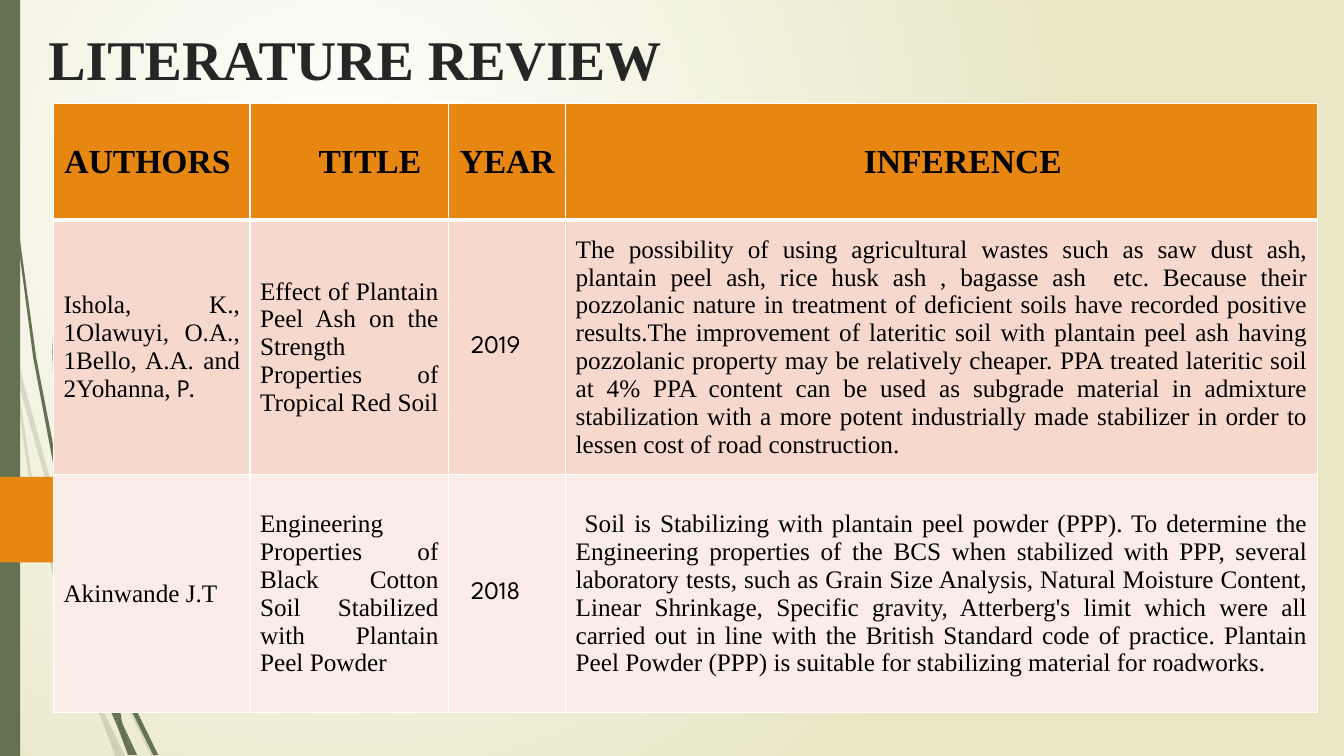
from lxml import etree
from pptx import Presentation
from pptx.dml.color import RGBColor
from pptx.enum.shapes import MSO_SHAPE
from pptx.enum.text import MSO_ANCHOR, MSO_AUTO_SIZE, PP_ALIGN
from pptx.oxml.ns import qn
from pptx.util import Inches, Pt

RECTANGLE, PENTAGON = MSO_SHAPE.RECTANGLE, MSO_SHAPE.PENTAGON
LEFT, CENTER, JUSTIFY = PP_ALIGN.LEFT, PP_ALIGN.CENTER, PP_ALIGN.JUSTIFY

THEME = {
    "serif": "Times New Roman", "sans": "League Spartan",
    "title_size": 40, "header_size": 24, "body_size": 18,
    "title": "262626", "text": "000000", "line": "FFFFFF",
    "green": "647252", "orange": "E78712",
    "rows": ["F6D9CC", "FAEDE7"], "background": ["FFFFFF", "E8E6C4"],
}

TITLE = "LITERATURE REVIEW"
# Header text, column width, alignment, header left margin, body left margin, body font
COLUMNS = [
    ("AUTHORS ", 1.95, CENTER, 0.1, 0.1, "serif"),
    ("TITLE", 1.97, JUSTIFY, 0.68, 0.1, "serif"),
    ("YEAR", 1.16, CENTER, 0.1, 0.22, "sans"),
    ("INFERENCE", 7.46, CENTER, 0.52, 0.1, "serif"),
]
ROW_HEIGHTS = [1.15, 2.53, 2.36]
# A cell is plain text, or a tuple of (text, font) runs
STUDIES = [
    ((("Ishola, K., 1Olawuyi, O.A., 1Bello, A.A. and 2Yohanna, ", "serif"), ("P.", "sans")),
     "Effect of Plantain Peel Ash on the Strength Properties of Tropical Red Soil",
     "2019",
     "The possibility of using agricultural wastes such as saw dust ash, plantain peel ash, "
     "rice husk ash , bagasse ash  etc. Because their pozzolanic nature in treatment of "
     "deficient soils have recorded positive results.The improvement of lateritic soil with "
     "plantain peel ash having pozzolanic property may be relatively cheaper. PPA treated "
     "lateritic soil at 4% PPA content can be used as subgrade material in admixture "
     "stabilization with a more potent industrially made stabilizer in order to lessen cost "
     "of road construction."),
    ("Akinwande J.T",
     "Engineering Properties of Black Cotton Soil Stabilized with Plantain Peel Powder",
     "2018",
     " Soil is Stabilizing with plantain peel powder (PPP). To determine the Engineering "
     "properties of the BCS when stabilized with PPP, several laboratory tests, such as Grain "
     "Size Analysis, Natural Moisture Content, Linear Shrinkage, Specific gravity, Atterberg's "
     "limit which were all carried out in line with the British Standard code of practice. "
     "Plantain Peel Powder (PPP) is suitable for stabilizing material for roadworks."),
]

# Outlines of the grass blades, in inches
PALE_BLADES = [
    [(0.11, 3.5), (0.09, 3.22), (0, 2.82), (0, 2.99), (0.1, 3.44)],
    [(0.58, 5.22), (0.84, 5.99), (0.85, 5.86), (0.62, 5.2), (0.14, 3.45), (0.17, 3.76)],
    [(0.92, 6.07), (0.88, 5.96), (0.88, 6.1), (1.23, 6.94), (1.5, 7.5), (1.55, 7.5),
     (1.27, 6.92)],
    [(1.19, 7.5), (1.24, 7.5), (1.05, 7.11)],
    [(0.93, 6.83), (0.7, 6.19), (0.31, 4.69), (0.17, 3.76), (0.11, 3.5), (0.28, 4.7),
     (0.65, 6.21), (0.92, 6.93), (1.01, 7.14), (0.99, 7.07)],
    [(0.84, 5.99), (0.87, 6.46), (0.93, 6.83), (0.96, 6.92), (1.05, 7.11), (1.03, 7.06),
     (0.91, 6.46), (0.88, 6.1), (0.88, 6.08)],
    [(0.88, 5.84), (1.1, 4.62), (1.6, 3.49), (2.29, 2.45), (2.68, 1.98), (2.9, 1.75),
     (3.12, 1.54), (3.12, 1.53), (2.89, 1.75), (2.68, 1.97), (2.28, 2.44), (1.58, 3.48),
     (1.07, 4.61), (0.85, 5.84), (0.85, 5.86), (0.88, 5.96)],
    [(1.01, 7.14), (1.14, 7.5), (1.19, 7.5)],
    [(0.88, 6.08), (0.88, 6.1), (0.88, 5.96), (0.85, 5.86), (0.84, 5.99)],
    [(0.96, 6.92), (0.93, 6.83), (0.99, 7.07), (1.01, 7.14), (1.19, 7.5), (1.05, 7.11)],
]
DARK_BLADES = [
    [(0.07, 1.1), (0.17, 2.33), (0.33, 3.55), (0.56, 4.77), (0.57, 4.81), (0.55, 4.57),
     (0.55, 4.53), (0.36, 3.55), (0.19, 2.32), (0.08, 1.09), (0.05, 0.48), (0.04, 0),
     (0.03, 0), (0.04, 0.48)],
    [(0.88, 5.92), (1.06, 6.45), (1.06, 6.31), (0.93, 5.9), (0.6, 4.72), (0.64, 5.05)],
    [(1.13, 6.49), (1.1, 6.41), (1.11, 6.56), (1.32, 7.08), (1.52, 7.49), (1.57, 7.49),
     (1.36, 7.06)],
    [(1.1, 6.91), (0.98, 6.57), (0.72, 5.56), (0.64, 5.05), (0.57, 4.77), (0.68, 5.57),
     (0.93, 6.59), (1.11, 7.08), (1.17, 7.22), (1.16, 7.17)],
    [(0.6, 4.72), (0.58, 4.53), (0.54, 3.49), (0.58, 2.45), (0.63, 1.93), (0.7, 1.41),
     (0.62, 1.93), (0.56, 2.45), (0.52, 3.49), (0.55, 4.49)],
    [(1.33, 7.49), (1.36, 7.49), (1.22, 7.19)],
    [(0.57, 4.77), (0.64, 5.05), (0.6, 4.72), (0.55, 4.49), (0.55, 4.53)],
    [(1.11, 6.33), (1.25, 5.52), (1.58, 4.76), (2.05, 4.06), (2.31, 3.74), (2.45, 3.59),
     (2.61, 3.44), (2.45, 3.58), (2.31, 3.73), (2.04, 4.05), (1.56, 4.74), (1.22, 5.51),
     (1.06, 6.31), (1.1, 6.41)],
    [(1.17, 7.22), (1.27, 7.49), (1.31, 7.49)],
    [(1.06, 6.45), (1.1, 6.91), (1.16, 7.06), (1.22, 7.19), (1.21, 7.16), (1.11, 6.56),
     (1.09, 6.51)],
    [(1.06, 6.45), (1.09, 6.51), (1.11, 6.56), (1.1, 6.41), (1.06, 6.31)],
    [(1.16, 7.06), (1.1, 6.91), (1.16, 7.17), (1.17, 7.22), (1.3, 7.49), (1.33, 7.49),
     (1.22, 7.19)],
]


def paint(shape, color):
    shape.shadow.inherit = False
    shape.fill.solid()
    shape.fill.fore_color.rgb = RGBColor.from_string(color)
    shape.line.fill.background()


def style_font(font, size, color, bold):
    font.size, font.bold = Pt(size), bold
    font.color.rgb = RGBColor.from_string(color)


def set_background(slide):
    """Fill the background with a circular gradient centred towards the top left."""
    fill = slide.background.fill
    fill.gradient()
    for stop, position, color in zip(fill.gradient_stops, (0, 1), THEME["background"]):
        stop.position = position
        stop.color.rgb = RGBColor.from_string(color)
    gradient = slide.element.find(".//" + qn("a:gradFill"))
    linear = gradient.find(qn("a:lin"))
    circle = etree.Element(qn("a:path"), path="circle")
    etree.SubElement(circle, qn("a:fillToRect"), l="50000", t="50000", r="100000", b="100000")
    gradient.replace(linear, circle)


def add_blades(slide, outlines, opacity):
    group = slide.shapes.add_group_shape()
    for outline in outlines:
        points = [(round(x * 100), round(y * 100)) for x, y in outline]
        builder = group.shapes.build_freeform(*points[0], scale=Inches(0.01))
        builder.add_line_segments(points[1:])
        blade = builder.convert_to_shape()
        paint(blade, THEME["green"])
        if opacity < 100:
            color = blade.element.spPr.find(qn("a:solidFill"))[0]
            etree.SubElement(color, qn("a:alpha"), val=str(opacity * 1000))


def set_borders(cell, widths):
    properties = cell._tc.get_or_add_tcPr()
    for position, (side, width) in enumerate(widths.items()):
        line = etree.Element(qn("a:ln" + side), w=str(Pt(width)))
        fill = etree.SubElement(line, qn("a:solidFill"))
        etree.SubElement(fill, qn("a:srgbClr"), val=THEME["line"])
        properties.insert(position, line)


def fill_cell(cell, content, font_key, size, alignment, left_margin, color, bold):
    cell.vertical_anchor = MSO_ANCHOR.MIDDLE
    cell.margin_left = Inches(left_margin)
    cell.fill.solid()
    cell.fill.fore_color.rgb = RGBColor.from_string(color)
    paragraph = cell.text_frame.paragraphs[0]
    paragraph.alignment = alignment
    style_font(paragraph.font, size, THEME["text"], bold)
    if isinstance(content, str):
        content = ((content, font_key),)
    if len(content) == 1:
        paragraph.font.name = THEME[font_key]
    for text, run_font in content:
        run = paragraph.add_run()
        run.text = text
        if len(content) > 1:
            run.font.name = THEME[run_font]


def add_review_table(slide):
    table = slide.shapes.add_table(
        len(ROW_HEIGHTS), len(COLUMNS), Inches(0.53), Inches(1.03),
        Inches(sum(column[1] for column in COLUMNS)), Inches(sum(ROW_HEIGHTS))).table
    table.first_row = table.horz_banding = False
    for row, height in zip(table.rows, ROW_HEIGHTS):
        row.height = Inches(height)
    for index, (header, width, alignment, header_margin, margin, font) in enumerate(COLUMNS):
        table.columns[index].width = Inches(width)
        fill_cell(table.cell(0, index), header, "serif", THEME["header_size"], alignment,
                  header_margin, THEME["orange"], True)
        set_borders(table.cell(0, index), {"L": 1, "R": 1, "T": 1, "B": 3})
        for row, (study, color) in enumerate(zip(STUDIES, THEME["rows"]), start=1):
            cell = table.cell(row, index)
            fill_cell(cell, study[index], font, THEME["body_size"], JUSTIFY, margin, color, False)
            set_borders(cell, {"L": 1, "R": 1, "T": 3 if row == 1 else 1, "B": 1})


def add_title(slide):
    title = slide.shapes.title
    title.left, title.top, title.width, title.height = map(Inches, (0.38, 0.09, 6.29, 0.87))
    frame = title.text_frame
    frame.text = TITLE
    frame.auto_size = MSO_AUTO_SIZE.NONE
    frame.vertical_anchor = MSO_ANCHOR.BOTTOM
    frame.margin_right = 0
    paragraph = frame.paragraphs[0]
    paragraph.alignment = LEFT
    paragraph.font.name = THEME["serif"]
    style_font(paragraph.font, THEME["title_size"], THEME["title"], True)


def main():
    presentation = Presentation()
    presentation.slide_width, presentation.slide_height = Inches(13.33), Inches(7.5)
    slide = presentation.slides.add_slide(presentation.slide_layouts[5])
    set_background(slide)
    add_blades(slide, PALE_BLADES, 20)
    add_blades(slide, DARK_BLADES, 100)
    for preset, top, width, height, color in [(RECTANGLE, 0, 0.2, 7.5, "green"),
                                              (PENTAGON, 4.73, 1.91, 0.85, "orange")]:
        paint(slide.shapes.add_shape(preset, 0, Inches(top), Inches(width), Inches(height)),
              THEME[color])
    add_title(slide)
    add_review_table(slide)
    presentation.save("out.pptx")


if __name__ == "__main__":
    main()
